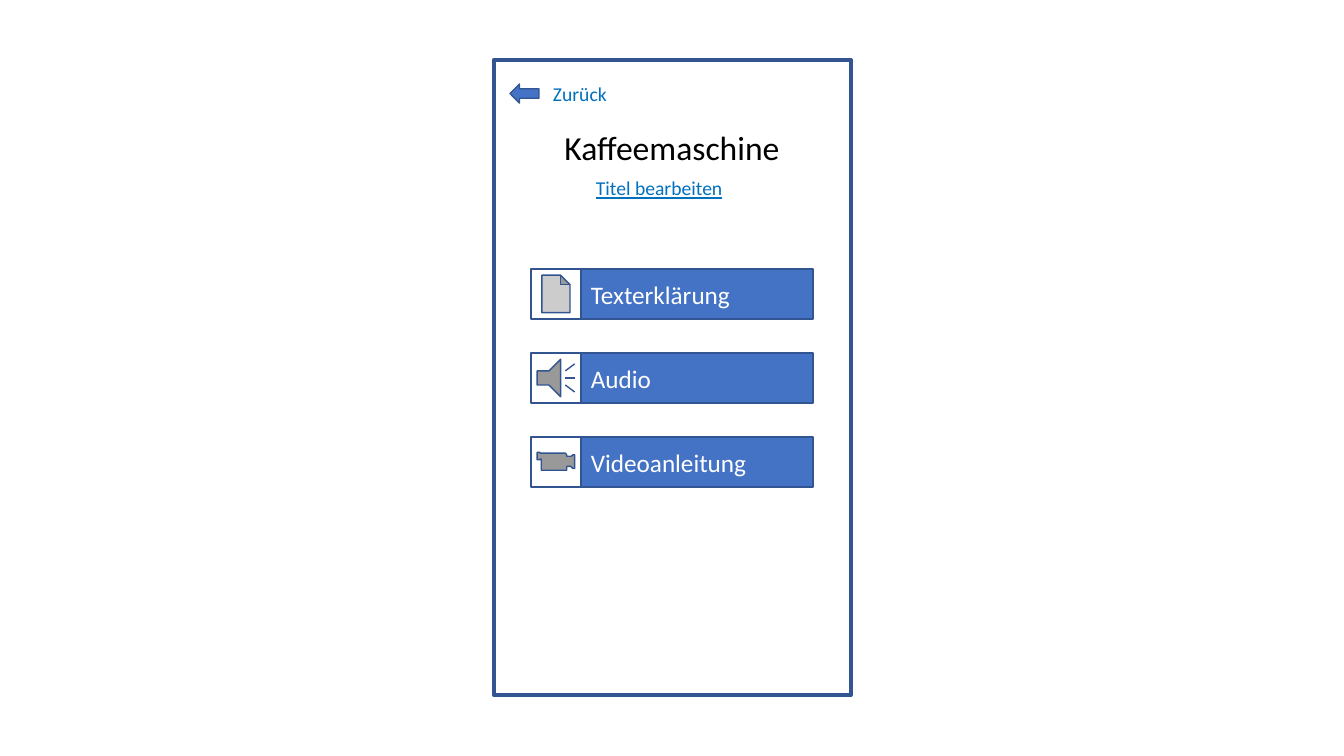
"""Build a slide with a phone mockup: coffee machine page with three help buttons."""
import pptx
import pptx.dml.color
import pptx.enum.shapes
import pptx.enum.text
import pptx.util

PX = 914400 / 100.8
COLORS = {"line": "325491", "button": "4472C4", "white": "FFFFFF", "black": "000000", "link": "0070C0"}
MSO = pptx.enum.shapes.MSO_SHAPE
ALIGN = pptx.enum.text.PP_ALIGN
ANCHOR = pptx.enum.text.MSO_ANCHOR
AUTO = pptx.enum.text.MSO_AUTO_SIZE

prs = pptx.Presentation()
prs.slide_width, prs.slide_height = round(1344 * PX), round(756 * PX)
s = prs.slides.add_slide(prs.slide_layouts[6])


def add_shape(kind, box, fill, width=1):
    sp = s.shapes.add_shape(kind, *[round(v * PX) for v in box])
    sp.shadow.inherit = False
    if fill:
        sp.fill.solid()
        sp.fill.fore_color.rgb = pptx.dml.color.RGBColor.from_string(COLORS[fill])
    else:
        sp.fill.background()
    sp.line.color.rgb = pptx.dml.color.RGBColor.from_string(COLORS["line"])
    sp.line.width = pptx.util.Pt(width)
    return sp


def set_text(sp, text, size, color, align=ALIGN.LEFT, underline=None, **frame):
    tf = sp.text_frame
    for name, value in {"word_wrap": True, **frame}.items():
        setattr(tf, name, value)
    p = tf.paragraphs[0]
    p.alignment = align
    r = p.add_run()
    r.text = text
    for name, value in {"name": "Calibri", "size": pptx.util.Pt(size), "underline": underline}.items():
        setattr(r.font, name, value)
    r.font.color.rgb = pptx.dml.color.RGBColor.from_string(COLORS[color])


add_shape(MSO.RECTANGLE, (494, 60, 357, 635), None, 3)
add_shape(MSO.LEFT_ARROW, (510, 84, 29, 19), "button")

labels = [
    ("Zurück", (543, 77, 155, 34), 14, "link", ALIGN.LEFT, None),
    ("Kaffeemaschine", (541, 122, 262, 50), 24, "black", ALIGN.CENTER, None),
    ("Titel bearbeiten", (586, 171, 151, 34), 14, "link", ALIGN.LEFT, True),
]
for text, box, size, color, align, underline in labels:
    sp = s.shapes.add_textbox(*[round(v * PX) for v in box])
    set_text(sp, text, size, color, align, underline, auto_size=AUTO.SHAPE_TO_FIT_TEXT)

buttons = [
    ("Texterklärung", MSO.ACTION_BUTTON_DOCUMENT),
    ("Audio", MSO.ACTION_BUTTON_SOUND),
    ("Videoanleitung", MSO.ACTION_BUTTON_MOVIE),
]
LEFT, TOP, PITCH, ICON, WIDTH = 531, 269, 84, 50, 232
for i, (text, icon) in enumerate(buttons):
    top = TOP + i * PITCH
    sp = add_shape(MSO.RECTANGLE, (LEFT + ICON, top, WIDTH, ICON), "button")
    set_text(sp, text, 18, "white", vertical_anchor=ANCHOR.MIDDLE)
    add_shape(icon, (LEFT, top, ICON, ICON), "white")

prs.save("out.pptx")
